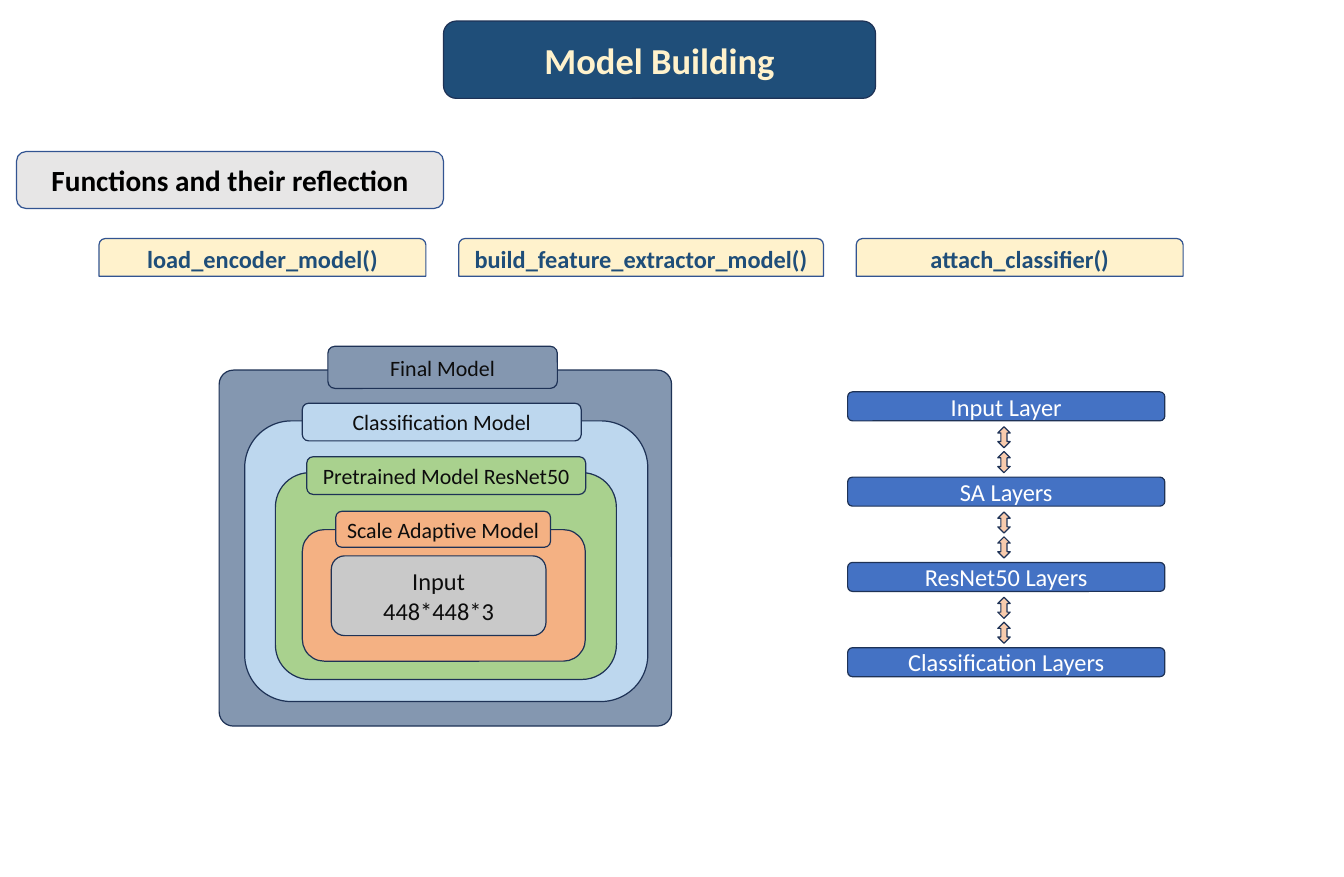
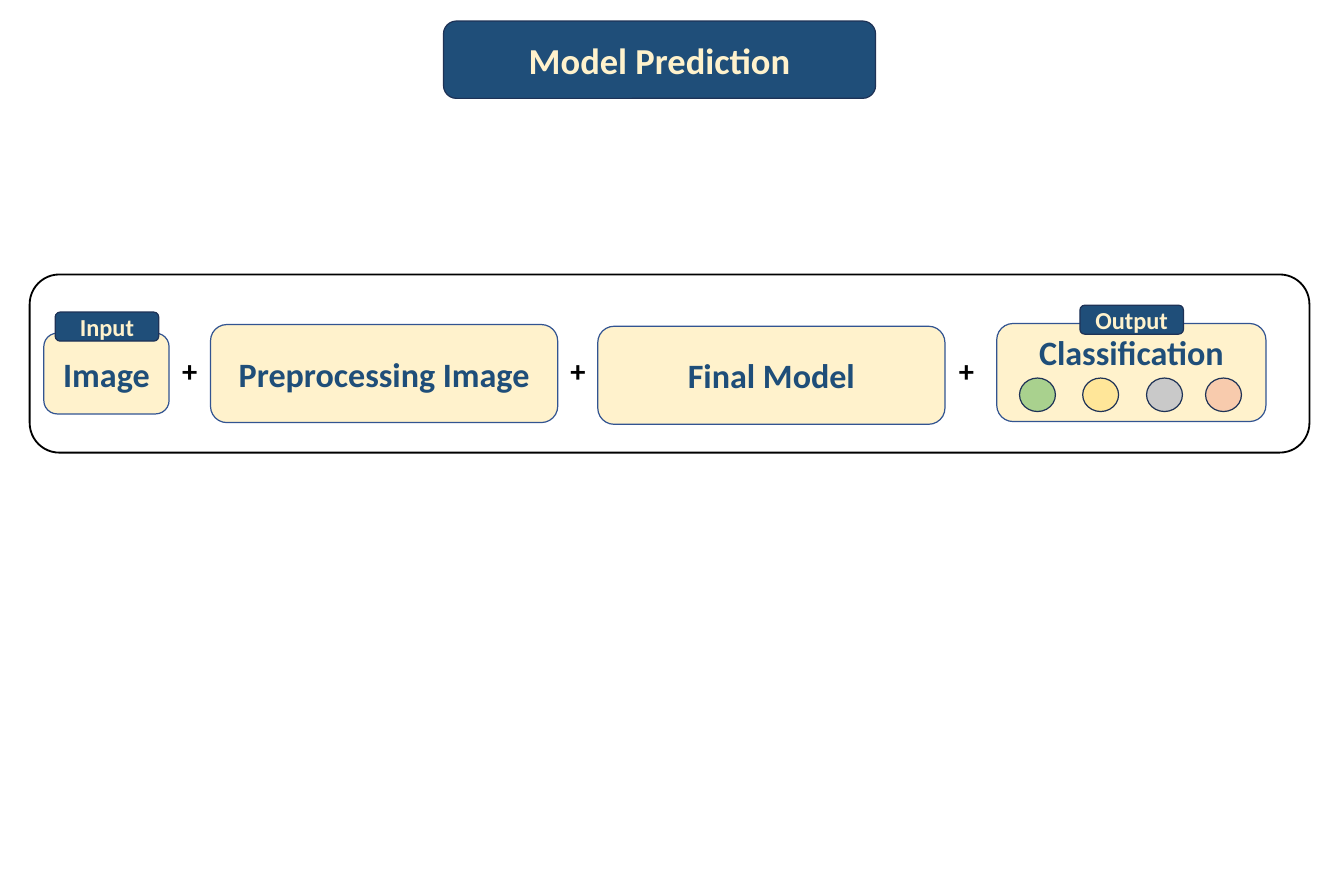
from pptx import Presentation
from pptx import util as u
from pptx.dml.color import RGBColor
from pptx.enum import shapes, text

# ---- Shared look ----
HEX = {"navy": "1F4E79", "edge": "1E3256", "rim": "325491", "cream": "FFF2CC",
       "mist": "E7E6E6", "slate": "8497B0", "sky": "BDD7EE", "green": "A9D18E",
       "orange": "F4B183", "gray": "C9C9C9", "blue": "4472C4", "peach": "F8CBAD",
       "yellow": "FFE699", "ink": "0D0D0D", "black": "000000", "white": "FFFFFF"}
KIND = shapes.MSO_SHAPE
ROUND, TAB = KIND.ROUNDED_RECTANGLE, KIND.ROUND_2_SAME_RECTANGLE
FONT = "Calibri"
SIZE = (38.94, 25.4)
BAND = (12.85, 0.61, 12.52, 2.24)

# Text styles: font values and colour
HEAD = ({"size": u.Pt(30), "bold": True}, "cream")
TOPIC = ({"size": u.Pt(24), "bold": True}, "black")
FUNC = ({"size": u.Pt(20), "bold": True}, "navy")
LABEL = ({"size": u.Pt(18), "bold": False}, "ink")
INPUT = ({"size": u.Pt(20), "bold": False}, "ink")
LAYER = ({"size": u.Pt(20), "bold": False}, "white")
STEP = ({"size": u.Pt(28), "bold": True}, "navy")
TAG = ({"size": u.Pt(20), "bold": True}, "cream")
PLUS = ({"size": u.Pt(25), "bold": True}, "black")

# ---- Content, lengths in cm ----
TOPIC_BOX = (0.48, 4.39, 12.37, 1.65)
FUNCS = [("load_encoder_model()", 9.47),
         ("build_feature_extractor_model()", 10.57),
         ("attach_classifier()", 9.47)]
FUNC_X, FUNC_Y, FUNC_H, FUNC_GAP = 2.87, 6.91, 1.09, 0.95

# Nested models, outermost first: label, colour, panel, label box
MODELS = [
    ("Final Model", "slate", (6.35, 10.72, 13.11, 10.31), (9.5, 10.03, 6.65, 1.22)),
    ("Classification Model", "sky", (7.09, 12.19, 11.68, 8.13), (8.76, 11.68, 8.08, 1.09)),
    ("Pretrained Model ResNet50", "green", (7.98, 13.69, 9.88, 5.99), (8.89, 13.23, 8.08, 1.09)),
    ("Scale Adaptive Model", "orange", (8.76, 15.34, 8.2, 3.81), (9.73, 14.81, 6.22, 1.04)),
]
INPUT_BOX = (9.6, 16.1, 6.22, 2.31)

LAYERS = ["Input Layer", "SA Layers", "ResNet50 Layers", "Classification Layers"]
LAYER_X, LAYER_Y, LAYER_W, LAYER_H, LAYER_STEP = 24.56, 11.35, 9.19, 0.84, 2.47
ARROW_X, ARROW_W, ARROW_H = 28.91, 0.36, 0.61
ARROW_DROPS = (1.01, 1.73)

FRAME = (0.86, 7.95, 37.08, 5.16)
STEPS = [("Image", (1.27, 9.65, 3.63, 2.34)),
         ("Preprocessing Image", (6.1, 9.4, 10.06, 2.84)),
         ("Final Model", (17.32, 9.45, 10.06, 2.84)),
         ("Classification", (28.88, 9.37, 7.8, 2.84))]
DOTS = [("green", 29.54), ("yellow", 31.37), ("gray", 33.22), ("peach", 34.93)]
DOT_Y, DOT_W, DOT_H = 10.95, 1.04, 0.97
TAGS = [("Input", 1.6, 9.04), ("Output", 31.29, 8.84)]
PLUS_X, PLUS_Y, PLUS_STEP = 5.03, 10.06, 11.25


# ---- Helpers ----
def tint(name):
    return RGBColor.from_string(HEX[name])


def put(obj, vals):
    for key, val in vals.items():
        setattr(obj, key, val)


def write(shape, words, style, align=text.PP_ALIGN.CENTER):
    vals, hue = style
    frame = shape.text_frame
    frame.word_wrap = True
    frame.text = words
    for para in frame.paragraphs:
        para.alignment = align
        for run in para.runs:
            put(run.font, {"name": FONT, **vals})
            run.font.color.rgb = tint(hue)


def draw(slide, kind, box, fill, edge="edge", width=1, words=None, style=None):
    shape = slide.shapes.add_shape(kind, *map(u.Cm, box))
    shape.shadow.inherit = False
    if fill:
        shape.fill.solid()
        shape.fill.fore_color.rgb = tint(fill)
    else:
        shape.fill.background()
    shape.line.color.rgb = tint(edge)
    shape.line.width = u.Pt(width)
    if words:
        write(shape, words, style)
    return shape


def start(deck, name):
    """Add a slide with its title on the navy band."""
    slide = deck.slides.add_slide(deck.slide_layouts[5])
    draw(slide, ROUND, BAND, "navy")
    title = slide.shapes.title
    put(title, dict(zip(("left", "top", "width", "height"), map(u.Cm, BAND))))
    write(title, name, HEAD)
    put(title.text_frame, {"vertical_anchor": text.MSO_ANCHOR.MIDDLE,
                           "auto_size": text.MSO_AUTO_SIZE.NONE})
    title.element.getparent().append(title.element)  # in front of the band
    return slide


# ---- Slides ----
def build(deck):
    slide = start(deck, "Model Building")
    draw(slide, ROUND, TOPIC_BOX, "mist", "rim",
         words="Functions and their reflection", style=TOPIC)

    # Function tabs
    left = FUNC_X
    for name, wide in FUNCS:
        draw(slide, TAB, (left, FUNC_Y, wide, FUNC_H), "cream", "rim",
             words=name, style=FUNC)
        left += wide + FUNC_GAP

    # Nested models
    for i, (name, hue, panel, label) in enumerate(MODELS):
        shape = draw(slide, ROUND, panel, hue)
        if i == 0:
            shape.adjustments[0] = 0.04
        draw(slide, ROUND, label, hue, words=name, style=LABEL)
    draw(slide, ROUND, INPUT_BOX, "gray", words="Input\n448*448*3", style=INPUT)

    # Layer stack, with two arrows under all but the last
    for i, name in enumerate(LAYERS):
        top = LAYER_Y + i * LAYER_STEP
        draw(slide, ROUND, (LAYER_X, top, LAYER_W, LAYER_H), "blue",
             words=name, style=LAYER)
        if i < len(LAYERS) - 1:
            for drop in ARROW_DROPS:
                draw(slide, KIND.UP_DOWN_ARROW,
                     (ARROW_X, top + drop, ARROW_W, ARROW_H), "peach")


def predict(deck):
    slide = start(deck, "Model Prediction")
    draw(slide, ROUND, FRAME, None, "black", 1.5)

    # Steps; the last one keeps room for the dots below its text
    for name, box in STEPS:
        last = draw(slide, ROUND, box, "cream", "rim", words=name, style=STEP)
    last.text_frame.margin_bottom = u.Cm(1.32)

    # Class dots
    for hue, left in DOTS:
        draw(slide, KIND.OVAL, (left, DOT_Y, DOT_W, DOT_H), hue)

    # Plus signs between steps
    for i in range(len(STEPS) - 1):
        box = (PLUS_X + i * PLUS_STEP, PLUS_Y, 0.89, 1.32)
        sign = slide.shapes.add_textbox(*map(u.Cm, box))
        write(sign, "+", PLUS, text.PP_ALIGN.LEFT)

    # Tags
    for name, left, top in TAGS:
        draw(slide, ROUND, (left, top, 3, 0.84), "navy", words=name, style=TAG)


def main():
    deck = Presentation()
    deck.slide_width, deck.slide_height = map(u.Cm, SIZE)
    build(deck)
    predict(deck)
    deck.save("out.pptx")


if __name__ == "__main__":
    main()
